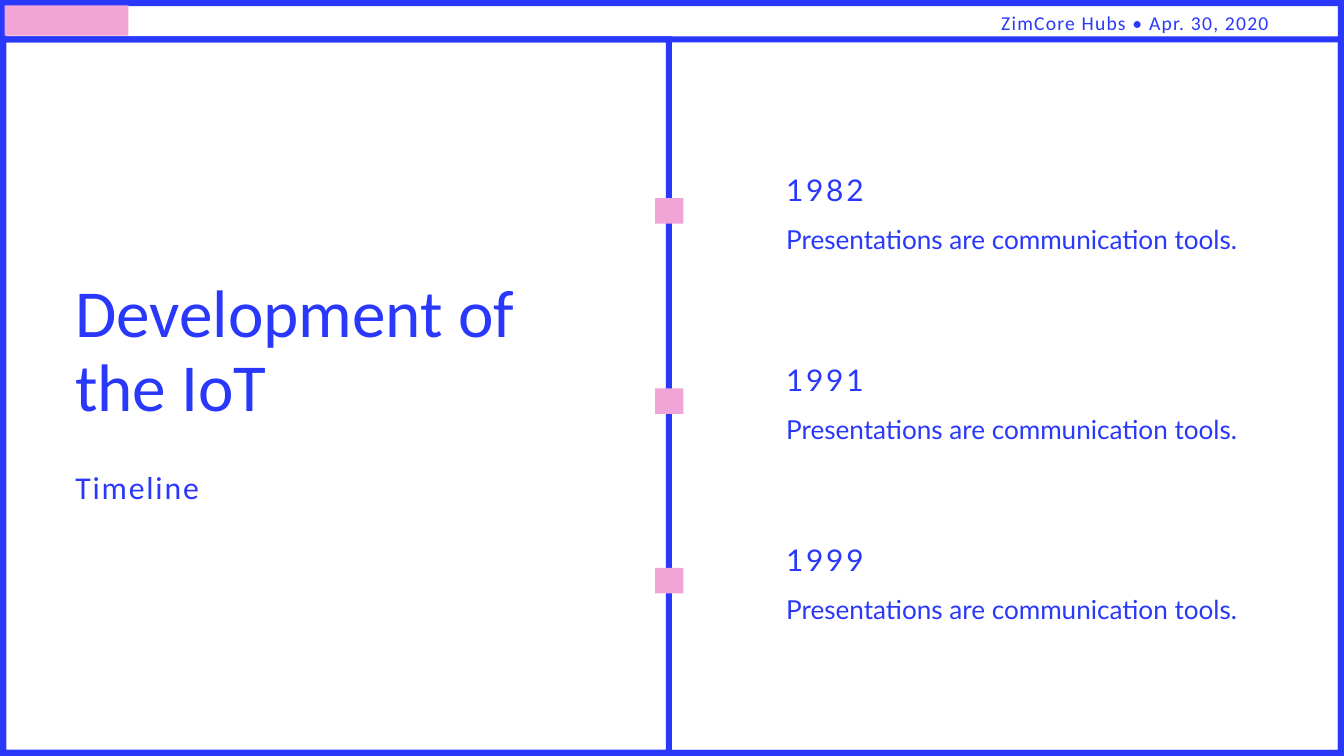
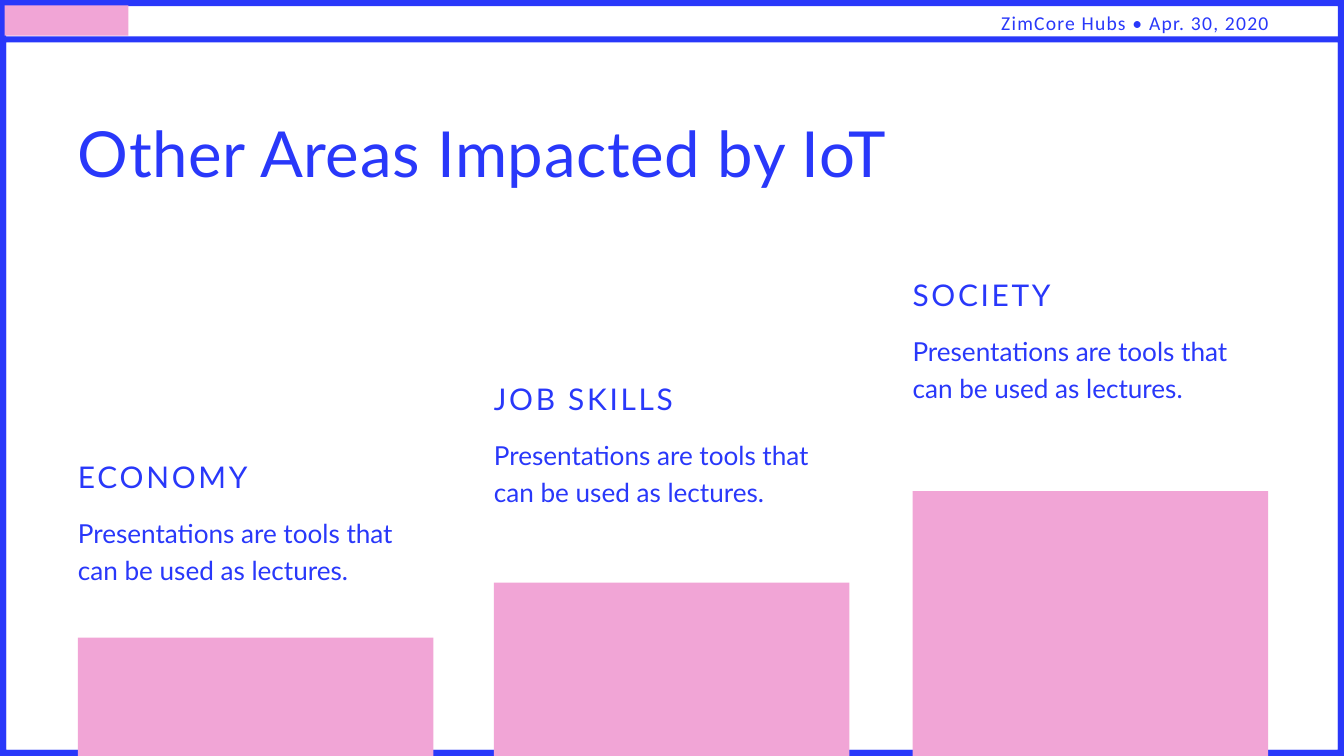
from pptx import Presentation
from pptx.dml.color import RGBColor
from pptx.enum.shapes import MSO_SHAPE as Shape
from pptx.enum.text import MSO_AUTO_SIZE as AutoSize, PP_ALIGN as Align
from pptx.util import Pt

PX = 9144  # EMU per px, 100 px to the inch
WIDTH, HEIGHT = 2000, 1125
BORDER = 9
BAND_TOP = 54
COLORS = {"blue": "2938FA", "pink": "F1A5D6", "white": "FFFFFF"}
# font, size, line spacing, letter spacing (points)
STYLES = {
    "header": ("Calibri", 21, 29.4, 1.3),
    "title": ("Lato", 68, 81.6, 0.7),
    "cover title": ("Calibri", 72, 79.2, 0),
    "subtitle": ("Calibri", 34, 44.2, 2),
    "heading": ("Lato", 32, 44.8, 2.9),
    "body": ("Lato", 28, 39.2, 0),
}


def add_text(page, text, style, left, top, width, height, align=Align.LEFT):
    font, size, leading, tracking = STYLES[style]
    box = page.shapes.add_textbox(left * PX, top * PX, width * PX, height * PX)
    frame = box.text_frame
    frame.word_wrap = True
    frame.auto_size = AutoSize.SHAPE_TO_FIT_TEXT
    frame.margin_left = frame.margin_top = frame.margin_right = frame.margin_bottom = 0
    para = frame.paragraphs[0]
    para.alignment = align
    para.line_spacing = Pt(leading)
    span = para.add_run()
    span.text = text
    span.font.name = font
    span.font.size = Pt(size)
    span.font.color.rgb = RGBColor.from_string(COLORS["blue"])
    if tracking:
        span._r.get_or_add_rPr().set("spc", str(round(tracking * 100)))


def add_block(page, left, top, width, height):
    """Add a plain pink rectangle."""
    block = page.shapes.add_shape(Shape.RECTANGLE, left * PX, top * PX, width * PX, height * PX)
    block.shadow.inherit = False
    block.fill.solid()
    block.fill.fore_color.rgb = RGBColor.from_string(COLORS["pink"])
    block.line.fill.background()


deck = Presentation()
deck.slide_width, deck.slide_height = WIDTH * PX, HEIGHT * PX
blank = deck.slide_layouts[6]
timeline, areas = deck.slides.add_slide(blank), deck.slides.add_slide(blank)

# Shared borders and header; each border is (right edge, top edge)
full, below_band, left_half = (WIDTH, 0), (WIDTH, BAND_TOP), (WIDTH // 2, BAND_TOP)
for page, borders in (
    (timeline, (full, below_band, left_half)),
    (areas, (below_band, full)),
):
    page.background.fill.solid()
    page.background.fill.fore_color.rgb = RGBColor.from_string(COLORS["white"])
    for right, top in borders:
        inner_right, inner_top, inner_bottom = right - BORDER, top + BORDER, HEIGHT - BORDER
        outline = page.shapes.build_freeform(0, top, scale=PX)
        outline.add_line_segments([(0, HEIGHT), (right, HEIGHT), (right, top)])
        outline.move_to(inner_right, inner_bottom)
        outline.add_line_segments(
            [(BORDER, inner_bottom), (BORDER, inner_top), (inner_right, inner_top)]
        )
        border = outline.convert_to_shape()
        border.shadow.inherit = False
        border.fill.solid()
        border.fill.fore_color.rgb = RGBColor.from_string(COLORS["blue"])
        border.line.fill.background()
    add_text(page, "ZimCore Hubs • Apr. 30, 2020", "header", 324, 11, 1564, 38, Align.RIGHT)
    add_block(page, 7, 8, 184, 45)

# Timeline
add_text(timeline, "Timeline", "subtitle", 112, 691, 758, 59)
add_text(timeline, "Development of the IoT", "cover title", 112, 412, 758, 223)
for year, top in (("1982", 247), ("1991", 530), ("1999", 797)):
    add_text(timeline, year, "heading", 1170, top, 680, 58)
    add_text(timeline, "Presentations are communication tools.", "body", 1170, top + 78, 680, 51)
    add_block(timeline, 975, top + 48, 42, 38)

# Impacted areas, as rising steps
add_text(areas, "Other Areas Impacted by IoT", "title", 116, 170, 1530, 114)
for name, left, text_top, step_top in (
    ("ECONOMY", 116, 673, 949),
    ("JOB SKILLS", 735, 557, 867),
    ("SOCIETY", 1358, 403, 731),
):
    add_block(areas, left, step_top, 529, HEIGHT - step_top)
    add_text(areas, name, "heading", left, text_top, 525, 58)
    add_text(areas, "Presentations are tools that can be used as lectures.", "body",
             left, text_top + 89, 525, 105)

deck.save("out.pptx")
